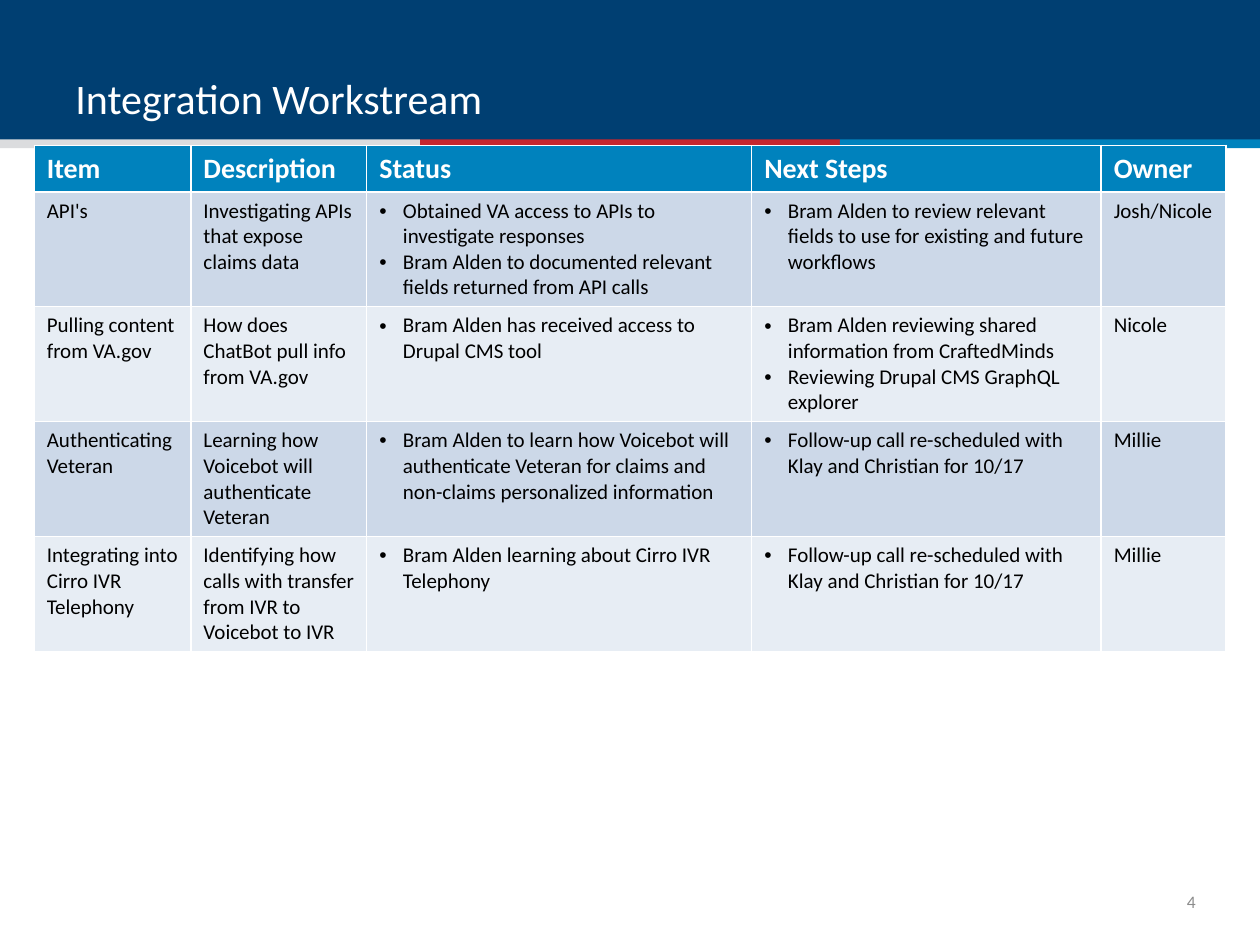
from pptx import Presentation
from pptx.dml.color import RGBColor
from pptx.enum.shapes import MSO_SHAPE
from pptx.enum.text import MSO_ANCHOR, PP_ALIGN
from pptx.oxml.ns import qn
from pptx.util import Pt
from lxml.etree import SubElement

COLORS = {
    "navy": "003F72", "gray": "DBDCDE", "red": "C6262D", "blue": "0082BD",
    "white": "FFFFFF", "black": "000000", "page": "8C8C8C",
    "dark": "CCD8E8", "light": "E7EDF4",
}
HEADS = ["Item", "Description", "Status", "Next Steps", "Owner"]
WIDTHS = [89.5, 100.5, 220, 199.7, 71.3]
LISTS = (2, 3)  # columns with bullets
ROWS = [
    ["API's", "Investigating APIs that expose claims data",
     "Obtained VA access to APIs to investigate responses\n"
     "Bram Alden to documented relevant fields returned from API calls",
     "Bram Alden to review relevant fields to use for existing and future workflows",
     "Josh/Nicole"],
    ["Pulling content from VA.gov", "How does ChatBot pull info from VA.gov",
     "Bram Alden has received access to Drupal CMS tool",
     "Bram Alden reviewing shared information from CraftedMinds\n"
     "Reviewing Drupal CMS GraphQL explorer",
     "Nicole"],
    ["Authenticating Veteran", "Learning how Voicebot will authenticate Veteran",
     "Bram Alden to learn how Voicebot will authenticate Veteran for claims "
     "and non-claims personalized information",
     "Follow-up call re-scheduled with Klay and Christian for 10/17",
     "Millie"],
    ["Integrating into Cirro IVR Telephony",
     "Identifying how calls with transfer from IVR to Voicebot to IVR",
     "Bram Alden learning about Cirro IVR Telephony",
     "Follow-up call re-scheduled with Klay and Christian for 10/17",
     "Millie"],
]


def rgb(name):
    return RGBColor.from_string(COLORS[name])


def style(para, size, color, bold=False):
    font = para.font
    font.name, font.size, font.bold = "Calibri", Pt(size), bold
    font.color.rgb = rgb(color)


def add_bar(slide, left, top, width, height, color):
    bar = slide.shapes.add_shape(
        MSO_SHAPE.RECTANGLE, Pt(left), Pt(top), Pt(width), Pt(height))
    bar.shadow.inherit = False
    bar.fill.solid()
    bar.fill.fore_color.rgb = rgb(color)
    bar.line.fill.background()


def add_label(slide, box, text, size, color, anchor):
    label = slide.shapes.add_textbox(*map(Pt, box))
    frame = label.text_frame
    frame.word_wrap = True
    frame.vertical_anchor = anchor
    frame.text = text
    style(frame.paragraphs[0], size, color)
    return frame


def add_bullet(para):
    props = para._p.get_or_add_pPr()
    props.set("marL", str(Pt(13.5)))
    props.set("indent", str(-Pt(13.5)))
    SubElement(props, qn("a:buFont"), typeface="Arial")
    SubElement(props, qn("a:buChar"), char="•")


def fill_cell(cell, text, fill, size, color, bold=False, bullets=False):
    cell.fill.solid()
    cell.fill.fore_color.rgb = rgb(fill)
    cell.text = text
    for para in cell.text_frame.paragraphs:
        if bullets:
            add_bullet(para)
        style(para, size, color, bold)


def add_grid(slide):
    high, tall = 26.6, 65.7
    table = slide.shapes.add_table(
        len(ROWS) + 1, len(HEADS), Pt(19.6), Pt(83),
        Pt(sum(WIDTHS)), Pt(high + tall * len(ROWS))).table
    for col, width in zip(table.columns, WIDTHS):
        col.width = Pt(width)
    table.rows[0].height = Pt(high)
    for c, head in enumerate(HEADS):
        fill_cell(table.cell(0, c), head, "blue", 16, "white", bold=True)
    for r, row in enumerate(ROWS, 1):
        table.rows[r].height = Pt(tall)
        fill = "dark" if r % 2 else "light"
        for c, text in enumerate(row):
            fill_cell(table.cell(r, c), text, fill, 12, "black",
                      bullets=c in LISTS)


def main():
    deck = Presentation()
    deck.slide_width, deck.slide_height = Pt(720), Pt(540)
    slide = deck.slides.add_slide(deck.slide_layouts[6])
    add_bar(slide, 0, 0, 720, 82, "navy")
    for i, color in enumerate(("gray", "red", "blue")):
        add_bar(slide, 240 * i, 79.7, 240, 5, color)
    add_label(slide, (36, 10, 648, 64), "Integration Workstream",
              24, "white", MSO_ANCHOR.BOTTOM)
    page = add_label(slide, (664, 500.5, 19.2, 29), "4",
                     10, "page", MSO_ANCHOR.MIDDLE)
    page.margin_left = page.margin_right = 0
    page.margin_top = page.margin_bottom = 0
    page.paragraphs[0].alignment = PP_ALIGN.RIGHT
    add_grid(slide)
    deck.save("out.pptx")


if __name__ == "__main__":
    main()
